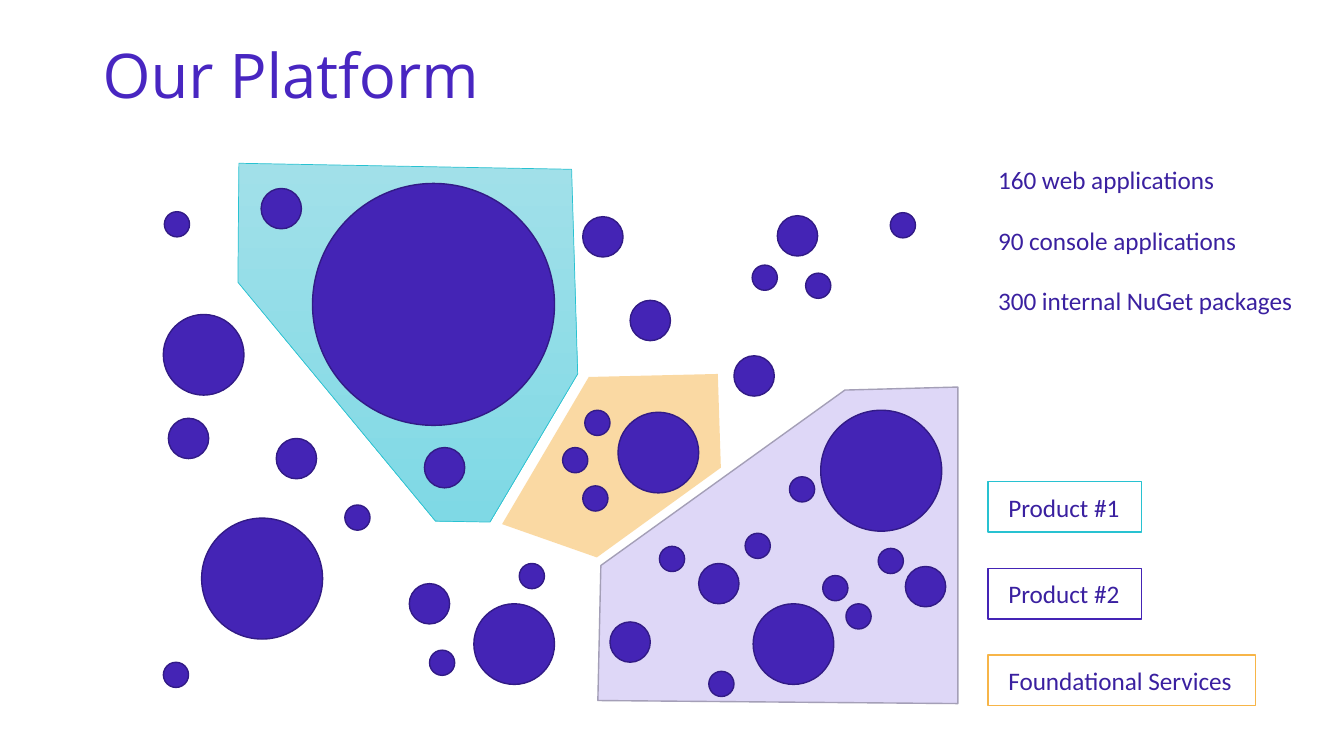
from lxml.etree import SubElement
from pptx import Presentation
from pptx.dml.color import RGBColor
from pptx.enum.shapes import MSO_SHAPE as Shape
from pptx.enum.text import MSO_ANCHOR as Anchor, PP_ALIGN as Align
from pptx.oxml.ns import qn
from pptx.util import Inches, Pt

VIOLET = RGBColor(0x44, 0x24, 0xB5)
DARK = RGBColor(0x32, 0x1B, 0x86)
TITLE = RGBColor(0x48, 0x26, 0xC1)
INK = RGBColor(0x3A, 0x20, 0xA0)
TEAL = RGBColor(0x28, 0xC2, 0xD1)
PALE = RGBColor(0xA1, 0xE0, 0xE9)
AQUA = RGBColor(0x7F, 0xD9, 0xE5)
AMBER = RGBColor(0xF7, 0xB5, 0x48)
LILAC = RGBColor(0xDE, 0xD7, 0xF7)
GREY = RGBColor(0xA4, 0x9F, 0xB7)
WHITE = RGBColor(0xFF, 0xFF, 0xFF)

SERVICES = [(5.84, 3.74), (7.12, 3.71), (7.15, 4.64), (5.92, 5.53), (4.98, 5.2)]
FIRST = [(2.37, 1.62), (2.36, 2.8), (4.32, 5.17), (4.86, 5.18), (5.73, 3.71), (5.67, 1.68)]
SECOND = [(9.5, 3.84), (9.5, 6.98), (5.93, 6.95), (5.96, 5.61), (8.38, 3.87)]

APPS = {
    2.4: [(3.1, 1.82)],
    1.2: [(2, 5.14), (8.14, 4.07)],
    0.8: [(1.62, 3.12), (4.7, 5.99), (6.13, 4.09), (7.47, 5.99)],
    0.4: [(1.67, 4.15), (5.78, 2.15), (4.06, 5.79), (2.59, 1.87), (4.21, 4.44),
          (7.28, 3.53), (6.25, 2.98), (2.74, 4.35), (7.71, 2.14), (6.93, 5.59),
          (6.05, 6.17), (8.98, 5.62)],
    0.25: [(4.26, 6.45), (7.99, 2.71), (7.46, 2.63), (5.78, 4.82), (5.58, 4.44),
           (5.8, 4.07), (3.42, 5.01), (5.15, 5.59), (1.62, 6.57), (8.83, 2.11),
           (1.63, 2.1), (6.54, 5.42), (8.16, 5.71), (7.39, 5.29), (7.83, 4.73),
           (8.71, 5.44), (8.39, 5.99), (7.03, 6.66)],
}
STATS = ["160 web applications", "90 console applications", "300 internal NuGet packages"]
LABELS = [("Product #1", 1.52, TEAL), ("Product #2", 1.52, VIOLET),
          ("Foundational Services", 2.65, AMBER)]


class Board:
    font = "Calibri"
    size = 18

    def __init__(self, slide):
        self.shapes = slide.shapes

    def paint(self, shape, fill=None, line=None, width=1):
        shape.shadow.inherit = False
        if fill is None:
            shape.fill.background()
        else:
            shape.fill.solid()
            shape.fill.fore_color.rgb = fill
        if line is None:
            shape.line.fill.background()
        else:
            shape.line.color.rgb = line
            shape.line.width = Pt(width)
        return shape

    def zone(self, points, fill=None, line=None, width=1):
        spots = [(Inches(x), Inches(y)) for x, y in points]
        shell = self.shapes.build_freeform(*spots[0])
        shell.add_line_segments(spots[1:], close=True)
        return self.paint(shell.convert_to_shape(), fill, line, width)

    def fade(self, shape, top, bottom):
        shape.fill.gradient()
        shape.fill.gradient_angle = 270
        for stop, color in zip(shape.fill.gradient_stops, (top, bottom)):
            stop.color.rgb = color

    def thin(self, shape, percent):
        color = shape.element.spPr.find(".//" + qn("a:srgbClr"))
        SubElement(color, qn("a:alpha")).set("val", str(percent * 1000))

    def dot(self, x, y, size):
        spot = map(Inches, (x, y, size, size))
        self.paint(self.shapes.add_shape(Shape.OVAL, *spot), VIOLET, DARK)

    def text(self, frame, lines, color=INK, font=font, size=size, gap=0):
        for i, line in enumerate(lines):
            para = frame.paragraphs[0] if i == 0 else frame.add_paragraph()
            para.alignment = Align.LEFT
            if i:
                para.space_before = Pt(gap)
            run = para.add_run()
            run.text = line
            run.font.name = font
            run.font.size = Pt(size)
            run.font.color.rgb = color
        return frame.paragraphs[0]

    def title(self, text, x, y, w, h):
        frame = self.shapes.add_textbox(*map(Inches, (x, y, w, h))).text_frame
        frame.word_wrap = True
        self.text(frame, [text], TITLE, "Open Sans", 44).line_spacing = 0.9

    def box(self, lines, x, y, w, h, fill=None, line=WHITE, width=1, pad=(0.1, 0.05), gap=0):
        shape = self.shapes.add_shape(Shape.RECTANGLE, *map(Inches, (x, y, w, h)))
        self.paint(shape, fill, line, width)
        frame = shape.text_frame
        frame.word_wrap = False
        frame.vertical_anchor = Anchor.MIDDLE
        frame.margin_left = frame.margin_right = Inches(pad[0])
        frame.margin_top = frame.margin_bottom = Inches(pad[1])
        self.text(frame, lines, gap=gap)


def main():
    deck = Presentation()
    deck.slide_width, deck.slide_height = Inches(13.33), Inches(7.5)
    board = Board(deck.slides.add_slide(deck.slide_layouts[6]))

    board.title("Our Platform", 0.92, 0.4, 11.5, 1.45)
    board.thin(board.zone(SERVICES, AMBER), 50)
    board.fade(board.zone(FIRST, line=TEAL, width=0.5), PALE, AQUA)
    board.zone(SECOND, LILAC, GREY)
    for size, spots in APPS.items():
        for x, y in spots:
            board.dot(x, y, size)

    board.box(STATS, 9.8, 1.57, 3.15, 1.62, width=0.75, gap=21.6)
    for i, (text, wide, color) in enumerate(LABELS):
        board.box([text], 9.8, 4.78 + i * 0.86, wide, 0.5, WHITE, color, pad=(0.2, 0.1))

    deck.save("out.pptx")


if __name__ == "__main__":
    main()
